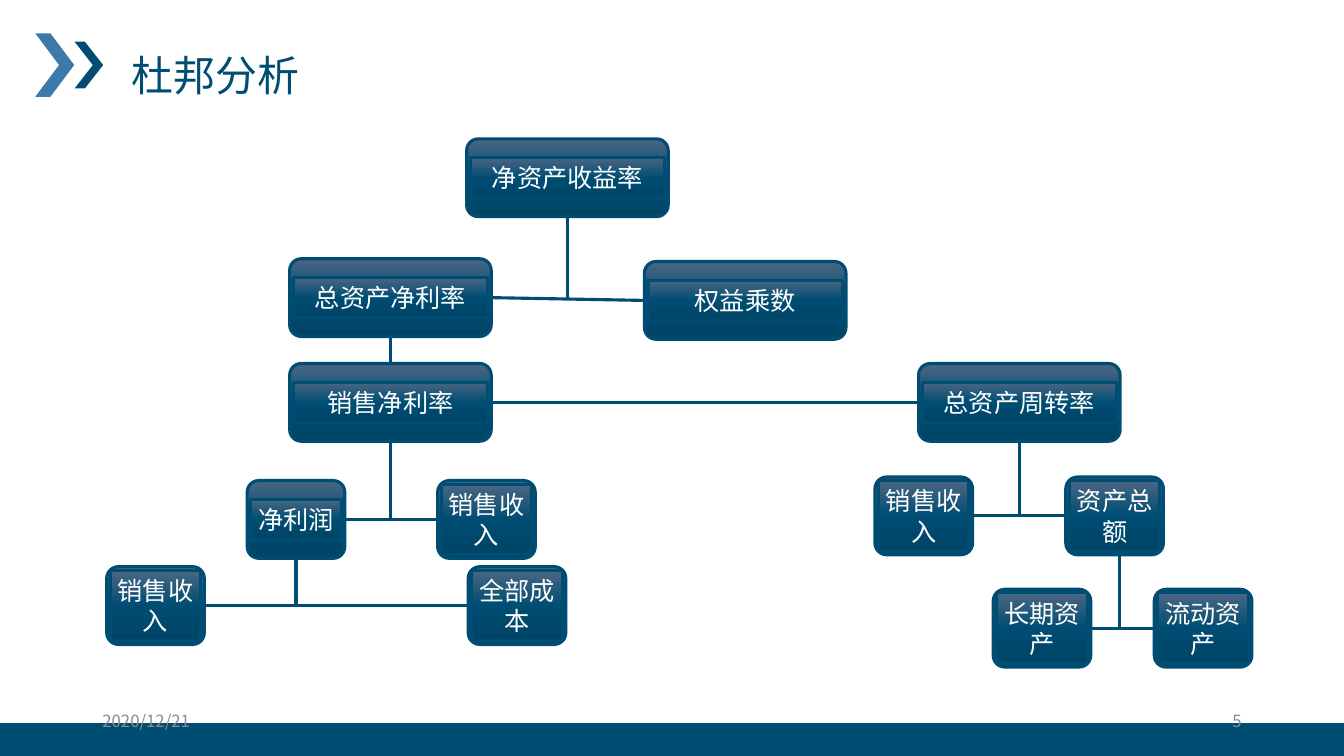
"""Builds the DuPont analysis slide with its ratio tree."""
import copy
from typing import NamedTuple

import lxml.etree
import pptx
import pptx.dml.color
import pptx.enum.shapes
import pptx.enum.text
import pptx.oxml.ns
import pptx.util

Cm = pptx.util.Cm
RGBColor = pptx.dml.color.RGBColor
SHAPES = pptx.enum.shapes.MSO_SHAPE
ALIGN = pptx.enum.text.PP_ALIGN
ANCHOR = pptx.enum.text.MSO_ANCHOR
AUTO_SIZE = pptx.enum.text.MSO_AUTO_SIZE

NAVY = RGBColor(0x00, 0x4D, 0x73)
SKY = RGBColor(0x3C, 0x7A, 0xAB)
SLATE = RGBColor(0x4B, 0x66, 0x83)
DEEP = RGBColor(0x00, 0x44, 0x66)
GREY = RGBColor(0x8C, 0x8C, 0x8C)
WHITE = RGBColor(0xFF, 0xFF, 0xFF)

WIDE, NARROW, HEIGHT = 5.08, 2.46, 1.96
ONE_LINE, TWO_LINES = 1.02, 1.78


class Ratio(NamedTuple):
    label: str
    left: float
    top: float
    width: float = NARROW
    label_height: float = TWO_LINES

    @property
    def right(self):
        return self.left + self.width

    @property
    def centre(self):
        return self.left + self.width / 2

    @property
    def middle(self):
        return self.top + HEIGHT / 2


class Deck:
    font = "Noto Sans CJK SC"
    line_width = pptx.util.Pt(2.25)

    def __init__(self, slide):
        self.slide = slide

    def style_text(self, frame, text, size, color, align=ALIGN.LEFT):
        frame.text = text
        paragraph = frame.paragraphs[0]
        paragraph.alignment = align
        run = paragraph.runs[0]
        run.font.size = pptx.util.Pt(size)
        run.font.color.rgb = color
        run.font.name = self.font
        east_asian = lxml.etree.SubElement(run._r.get_or_add_rPr(), pptx.oxml.ns.qn("a:ea"))
        east_asian.set("typeface", self.font)

    def text(self, text, left, top, width, height, size, color,
             align=ALIGN.LEFT, anchor=ANCHOR.MIDDLE, wrap=True):
        frame = self.slide.shapes.add_textbox(Cm(left), Cm(top), Cm(width), Cm(height)).text_frame
        frame.word_wrap = wrap
        frame.vertical_anchor = anchor
        self.style_text(frame, text, size, color, align)

    def paint(self, shape, color):
        shape.shadow.inherit = False
        shape.fill.solid()
        shape.fill.fore_color.rgb = color
        shape.line.fill.background()

    def band(self, left, top, width, height):
        self.paint(self.slide.shapes.add_shape(
            SHAPES.RECTANGLE, Cm(left), Cm(top), Cm(width), Cm(height)), NAVY)

    def chevron(self, left, top, width, height, arm, color):
        right, bottom, middle = left + width, top + height, top + height / 2
        outline = [(left + arm, top), (right, middle), (left + arm, bottom),
                   (left, bottom), (right - arm, middle)]
        builder = self.slide.shapes.build_freeform(Cm(left), Cm(top))
        builder.add_line_segments([(Cm(x), Cm(y)) for x, y in outline])
        self.paint(builder.convert_to_shape(), color)

    def glossy(self, preset, left, top, width, height):
        shape = self.slide.shapes.add_shape(preset, Cm(left), Cm(top), Cm(width), Cm(height))
        shape.shadow.inherit = False
        shape.fill.gradient()
        shape.fill.gradient_angle = 270
        stops = shape.element.xpath(".//a:gsLst")[0]
        stops.append(copy.deepcopy(stops[0]))
        for stop, position, color in zip(shape.fill.gradient_stops, (0, 0.5, 1), (SLATE, NAVY, DEEP)):
            stop.position = position
            stop.color.rgb = color
        shape.line.color.rgb = NAVY
        shape.line.width = self.line_width
        return shape

    def ratio(self, ratio):
        card = self.glossy(SHAPES.ROUNDED_RECTANGLE, ratio.left, ratio.top, ratio.width, HEIGHT)
        card.adjustments[0] = 0.15
        label = self.glossy(SHAPES.RECTANGLE, ratio.left + 0.09, ratio.middle - ratio.label_height / 2,
                            ratio.width - 0.18, ratio.label_height)
        frame = label.text_frame
        frame.word_wrap = True
        frame.auto_size = AUTO_SIZE.SHAPE_TO_FIT_TEXT
        frame.vertical_anchor = ANCHOR.MIDDLE
        frame.margin_left = frame.margin_right = frame.margin_top = frame.margin_bottom = Cm(0.13)
        self.style_text(frame, ratio.label, 18, WHITE, ALIGN.CENTER)

    def line(self, *ends):
        connector = self.slide.shapes.add_connector(
            pptx.enum.shapes.MSO_CONNECTOR.STRAIGHT, *map(Cm, ends))
        connector.line.color.rgb = NAVY
        connector.line.width = self.line_width
        lxml.etree.SubElement(connector.element.spPr, pptx.oxml.ns.qn("a:effectLst"))

    def branch(self, parent, first, second, stem=None):
        stem = stem or parent.centre
        self.line(first.right, first.middle, second.left, second.middle)
        self.line(stem, parent.top + HEIGHT, stem, first.middle)


presentation = pptx.Presentation()
presentation.slide_width, presentation.slide_height = Cm(33.87), Cm(19.05)
deck = Deck(presentation.slides.add_slide(presentation.slide_layouts[6]))

deck.chevron(0.89, 0.84, 0.98, 1.6, 0.38, SKY)
deck.chevron(1.88, 1.05, 0.72, 1.18, 0.26, NAVY)
deck.text("杜邦分析", 3.07, 1.12, 4.75, 1.52, 30, NAVY, anchor=ANCHOR.TOP, wrap=False)
deck.band(0, 18.22, 33.87, 0.83)

return_on_equity = Ratio("净资产收益率", 11.76, 3.5, WIDE, ONE_LINE)
return_on_assets = Ratio("总资产净利率", 7.3, 6.52, WIDE, ONE_LINE)
equity_multiplier = Ratio("权益乘数", 16.24, 6.59, WIDE, ONE_LINE)
net_margin = Ratio("销售净利率", 7.3, 9.16, WIDE, ONE_LINE)
asset_turnover = Ratio("总资产周转率", 23.15, 9.16, WIDE, ONE_LINE)
net_profit = Ratio("净利润", 6.23, 12.11, NARROW, ONE_LINE)
margin_sales = Ratio("销售收入", 11.03, 12.11)
turnover_sales = Ratio("销售收入", 22.05, 12.02)
total_assets = Ratio("资产总额", 26.86, 12.02)
profit_sales = Ratio("销售收入", 2.69, 14.28)
total_cost = Ratio("全部成本", 11.8, 14.28)
long_term_assets = Ratio("长期资产", 25.03, 14.85)
current_assets = Ratio("流动资产", 29.09, 14.85)

deck.branch(return_on_equity, return_on_assets, equity_multiplier)
deck.branch(return_on_assets, net_margin, asset_turnover)
deck.branch(net_margin, net_profit, margin_sales)
deck.branch(asset_turnover, turnover_sales, total_assets)
deck.branch(net_profit, profit_sales, total_cost)
deck.branch(total_assets, long_term_assets, current_assets, stem=28.22)

for tree_ratio in (return_on_equity, return_on_assets, equity_multiplier, net_margin,
                   asset_turnover, net_profit, margin_sales, turnover_sales, total_assets,
                   profit_sales, total_cost, long_term_assets, current_assets):
    deck.ratio(tree_ratio)

deck.text("2020/12/21", 2.33, 17.66, 7.62, 1.01, 12, GREY)
deck.text("5", 23.92, 17.66, 7.62, 1.01, 12, GREY, ALIGN.RIGHT)

presentation.save("out.pptx")
